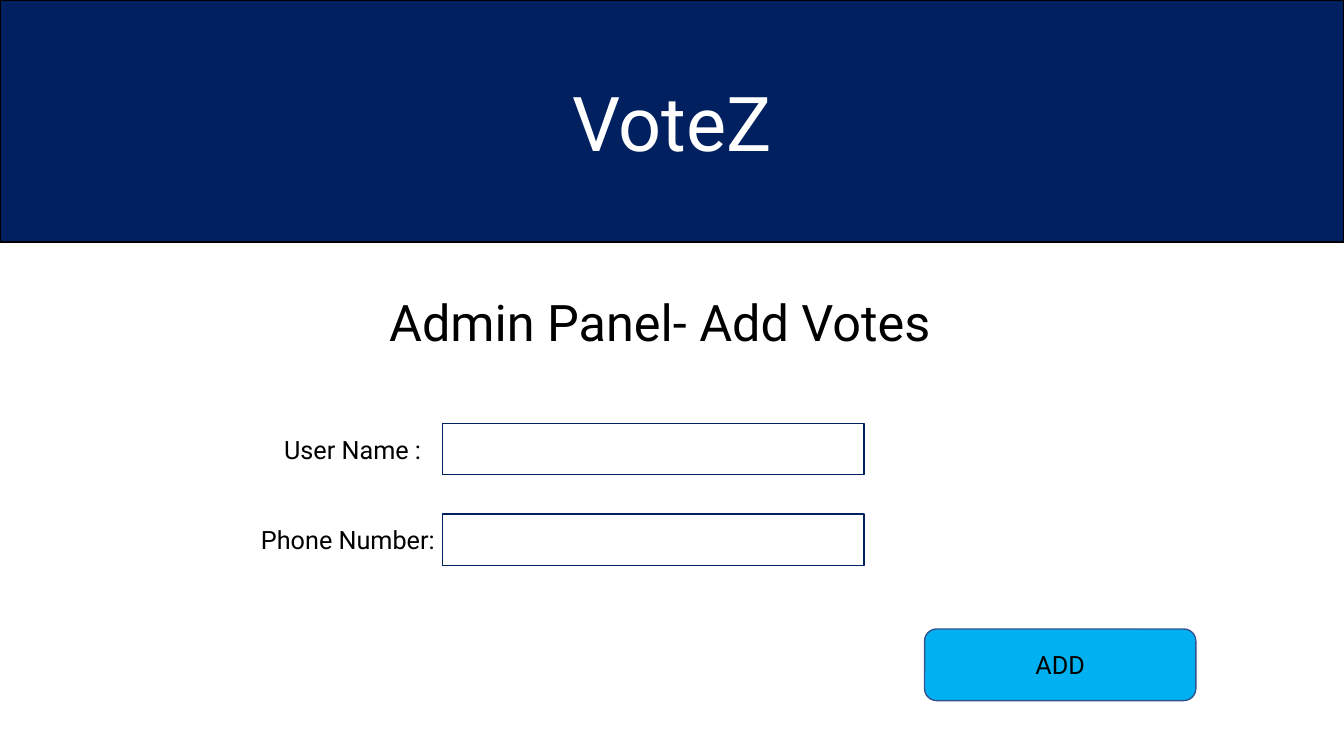
"""Build the VoteZ admin panel slide for adding votes."""
import pptx
import pptx.util
import pptx.dml.color
import pptx.enum.shapes
import pptx.enum.text

Inches = pptx.util.Inches
SHAPE = pptx.enum.shapes.MSO_SHAPE
ALIGN = pptx.enum.text.PP_ALIGN
ANCHOR = pptx.enum.text.MSO_ANCHOR

FONT = "Roboto"
COLORS = {"navy": "002060", "sky": "00B0F0", "edge": "325491",
          "black": "000000", "white": "FFFFFF"}
BRAND = "VoteZ"
HEADING = "Admin Panel- Add Votes"
BUTTON = "ADD"
FIELDS = [("User Name :", 2.72), ("Phone Number:", 2.49)]

WIDTH, HEIGHT = 13.33, 7.5
FIELD_LEFT, FIELD_TOP, FIELD_STEP = 4.39, 4.2, 0.9
FIELD_WIDTH, FIELD_HEIGHT = 4.18, 0.51
LABEL_WIDTH, LABEL_HEIGHT = 3.51, 0.4


def rgb(name):
    """Return the named colour."""
    return pptx.dml.color.RGBColor.from_string(COLORS[name])


def write(sp, text, size, color="black", align=ALIGN.LEFT, anchor=ANCHOR.TOP):
    """Put one formatted line of text into a shape."""
    tf = sp.text_frame
    tf.text = text
    tf.word_wrap = True
    tf.auto_size = pptx.enum.text.MSO_AUTO_SIZE.NONE
    tf.vertical_anchor = anchor
    p = tf.paragraphs[0]
    p.alignment = align
    p.line_spacing = 1.0
    r = p.runs[0]
    r.font.name = FONT
    r.font.size = pptx.util.Pt(size)
    r.font.color.rgb = rgb(color)


def add_box(slide, kind, box, line, fill=None):
    """Add an outlined shape, filled when a fill is given."""
    sp = slide.shapes.add_shape(kind, *map(Inches, box))
    sp.shadow.inherit = False
    sp.line.color.rgb = rgb(line)
    sp.line.width = pptx.util.Pt(1)
    if fill:
        sp.fill.solid()
        sp.fill.fore_color.rgb = rgb(fill)
    else:
        sp.fill.background()
    return sp


def main():
    """Lay out the slide and save it."""
    prs = pptx.Presentation()
    prs.slide_width, prs.slide_height = Inches(WIDTH), Inches(HEIGHT)
    slide = prs.slides.add_slide(prs.slide_layouts[5])

    banner = add_box(slide, SHAPE.RECTANGLE, (0, 0, WIDTH, 2.4), "black", "navy")
    write(banner, BRAND, 54, "white", ALIGN.CENTER, ANCHOR.MIDDLE)

    title = slide.shapes.title
    title.left, title.top, title.width, title.height = map(
        Inches, (3.76, 2.84, 5.81, 0.71))
    write(title, HEADING, 36)

    for i, (label, left) in enumerate(FIELDS):
        top = FIELD_TOP + i * FIELD_STEP
        label_top = top + (FIELD_HEIGHT - LABEL_HEIGHT) / 2
        tb = slide.shapes.add_textbox(
            *map(Inches, (left, label_top, LABEL_WIDTH, LABEL_HEIGHT)))
        write(tb, label, 18)
        add_box(slide, SHAPE.RECTANGLE,
                (FIELD_LEFT, top, FIELD_WIDTH, FIELD_HEIGHT), "navy")

    button = add_box(slide, SHAPE.ROUNDED_RECTANGLE,
                     (9.17, 6.24, 2.69, 0.71), "edge", "sky")
    write(button, BUTTON, 18, align=ALIGN.CENTER, anchor=ANCHOR.MIDDLE)

    prs.save("out.pptx")


if __name__ == "__main__":
    main()
